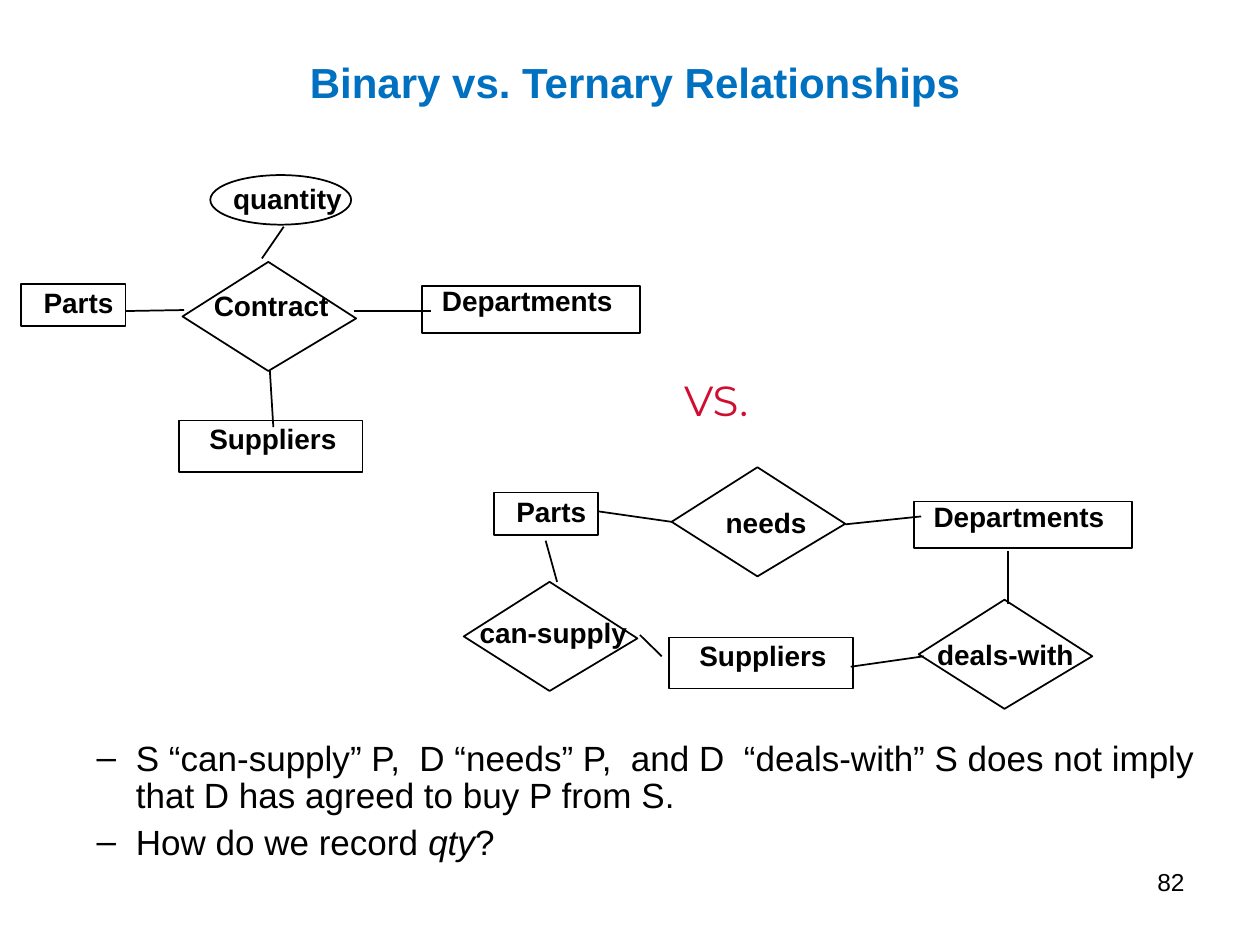
from lxml.etree import SubElement
from pptx import Presentation
from pptx.dml.color import RGBColor
from pptx.enum.shapes import MSO_CONNECTOR, MSO_SHAPE
from pptx.enum.text import MSO_ANCHOR, MSO_AUTO_SIZE, PP_ALIGN
from pptx.oxml.ns import qn
from pptx.util import Cm, Pt

COLORS = {"ink": "000000", "title": "0070C0", "accent": "CF0E30"}
ENTITIES = {
    "Parts": (2.1, 0.86, 0.2, -0.08, 1.95),
    "Departments": (4.4, 0.94, 0.15, -0.17, 4),
    "Suppliers": (3.7, 1.03, 0.36, -0.1, 3.1),
}
DIAMOND = [(0, 1.1), (1.73, 0), (3.5, 1.14), (1.73, 2.2)]


def color(name):
    """Return the named colour."""
    return RGBColor.from_string(COLORS[name])


def style(run, size, ink="ink", bold=False, face="Arial"):
    """Set the font of a run."""
    font = run.font
    font.name, font.size, font.bold = face, Pt(size), bold
    font.color.rgb = color(ink)


def text(shapes, words, box, size, align=PP_ALIGN.LEFT, **look):
    """Add a one-paragraph text box and return its frame."""
    frame = shapes.add_textbox(*map(Cm, box)).text_frame
    frame.word_wrap = True
    frame.text = words
    para = frame.paragraphs[0]
    para.alignment = align
    style(para.runs[0], size, **look)
    return frame


def label(shapes, words, x, y, width):
    """Add a bold diagram label that stays on one line."""
    frame = text(shapes, words, (x, y, width, 0.92), 16, bold=True)
    frame.word_wrap = False
    frame.auto_size = MSO_AUTO_SIZE.SHAPE_TO_FIT_TEXT


def outline(shape):
    """Leave a shape hollow with a thin dark line."""
    shape.shadow.inherit = False
    shape.fill.background()
    shape.line.color.rgb = color("ink")
    shape.line.width = Pt(1)


def entity(shapes, name, x, y):
    """Add an entity box with its label."""
    width, height, dx, dy, span = ENTITIES[name]
    outline(shapes.add_shape(MSO_SHAPE.RECTANGLE, Cm(x), Cm(y), Cm(width), Cm(height)))
    label(shapes, name, x + dx, y + dy, span)


def relation(shapes, name, x, y, dx, dy, span):
    """Add a relationship diamond with its label."""
    first, *rest = [(Cm(x + a), Cm(y + b)) for a, b in DIAMOND]
    pen = shapes.build_freeform(*first)
    pen.add_line_segments(rest, close=True)
    outline(pen.convert_to_shape())
    label(shapes, name, x + dx, y + dy, span)


def link(shapes, *ends):
    """Add a straight line between two points."""
    line = shapes.add_connector(MSO_CONNECTOR.STRAIGHT, *map(Cm, ends))
    line.line.color.rgb = color("ink")
    line.line.width = Pt(1)
    SubElement(line._element.spPr, qn("a:effectLst"))


def bullets(shapes, items, box):
    """Add a dashed list whose items are lists of (words, italic)."""
    frame = shapes.add_textbox(*map(Cm, box)).text_frame
    frame.word_wrap = True
    for i, parts in enumerate(items):
        para = frame.add_paragraph() if i else frame.paragraphs[0]
        para.level = 1
        props = para._p.get_or_add_pPr()
        props.set("marL", str(Cm(2.06)))
        props.set("indent", str(Cm(-0.79)))
        SubElement(props, qn("a:buFont"), typeface="Arial")
        SubElement(props, qn("a:buChar"), char="–")
        para.line_spacing = 0.9
        para.space_before = Pt(5 if i else 0)
        for words, slant in parts:
            run = para.add_run()
            run.text = words
            style(run, 20)
            run.font.italic = slant


def main():
    """Build the slide and save it."""
    deck = Presentation()
    deck.slide_width, deck.slide_height = Cm(25.4), Cm(19.05)
    shapes = deck.slides.add_slide(deck.slide_layouts[6]).shapes

    title = text(shapes, "Binary vs. Ternary Relationships ", (2.34, 1.17, 21.16, 0.97),
                 24, PP_ALIGN.CENTER, ink="title", bold=True)
    title.vertical_anchor = MSO_ANCHOR.MIDDLE

    outline(shapes.add_shape(MSO_SHAPE.OVAL, Cm(4.24), Cm(3.53), Cm(2.84), Cm(1)))
    label(shapes, "quantity", 4.45, 3.53, 2.7)

    for name, x, y in [
        ("Parts", 0.43, 5.72), ("Departments", 8.51, 5.77), ("Suppliers", 3.61, 8.48),
        ("Parts", 9.96, 9.93), ("Departments", 18.42, 10.11), ("Suppliers", 13.49, 12.85),
    ]:
        entity(shapes, name, x, y)

    for spot in [
        ("Contract", 3.68, 5.28, 0.38, 0.41, 2.85),
        ("needs", 13.54, 9.42, 0.84, 0.64, 2.15),
        ("can-supply", 9.35, 11.73, 0.07, 0.56, 3.5),
        ("deals-with", 18.52, 12.09, 0.12, 0.64, 3.3),
    ]:
        relation(shapes, *spot)

    for ends in [
        (7.14, 6.27, 8.69, 6.27), (5.72, 4.57, 5.28, 5.21),
        (3.71, 6.25, 2.54, 6.27), (5.44, 7.47, 5.51, 8.61),
        (11, 10.9, 11.23, 11.73), (12.9, 12.8, 13.34, 13.23),
        (17.15, 13.44, 18.62, 13.23), (20.32, 12.17, 20.32, 11.1),
        (12.07, 10.31, 13.54, 10.52), (17.04, 10.57, 18.57, 10.41),
    ]:
        link(shapes, *ends)

    text(shapes, "VS.", (13.54, 7.42, 2.54, 1.27), 24, ink="accent", face="Montserrat")
    bullets(shapes, [
        [("S “can-supply” P,  D “needs” P,  and D  “deals-with” S does not imply "
          "that D has agreed to buy P from S.", False)],
        [("How do we record ", False), ("qty", True), ("?", False)],
    ], (0.43, 14.81, 24.97, 2.74))
    text(shapes, "82", (18.21, 17.35, 5.92, 1.32), 14, PP_ALIGN.RIGHT)
    deck.save("out.pptx")


if __name__ == "__main__":
    main()
